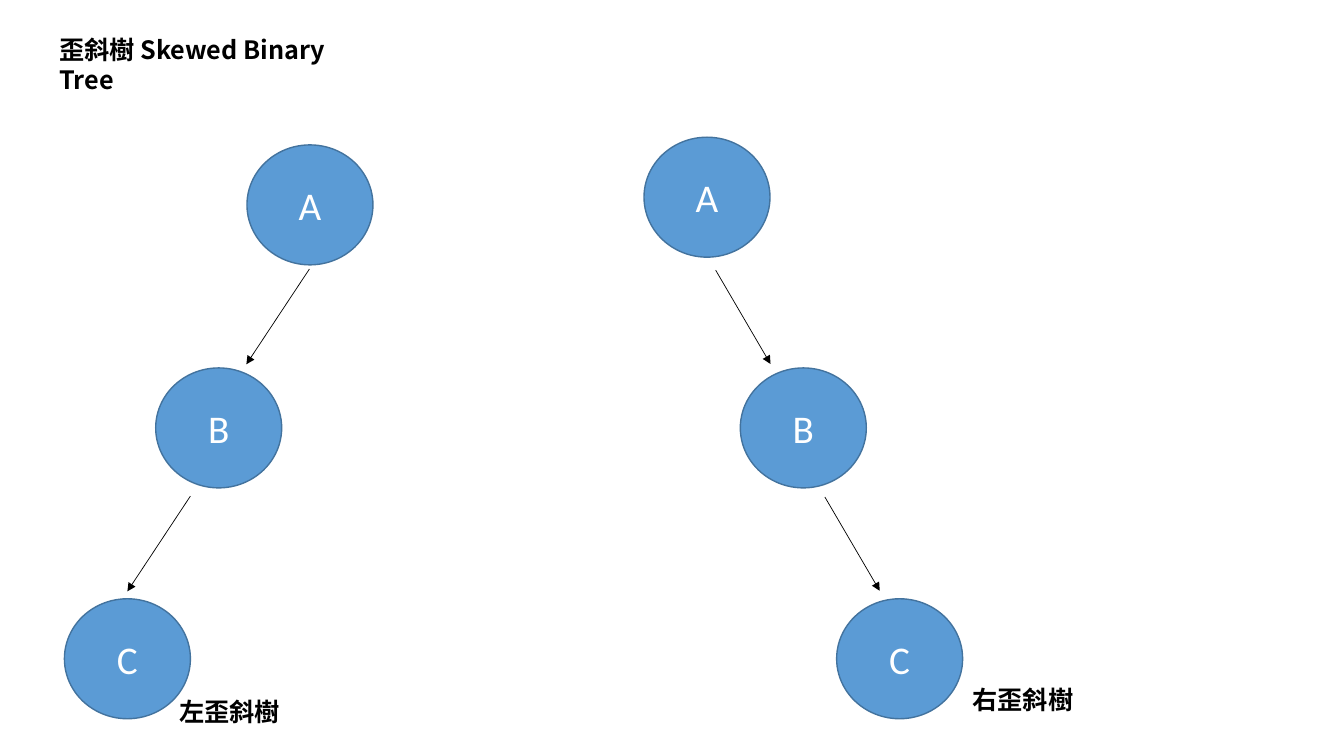
from pptx import Presentation
from pptx.dml.color import RGBColor
from pptx.enum.shapes import MSO_CONNECTOR, MSO_SHAPE
from pptx.enum.text import MSO_ANCHOR as Anchor, MSO_AUTO_SIZE as AutoSize, PP_ALIGN as Align
from pptx.oxml.ns import qn
from pptx.util import Pt
from lxml.etree import SubElement

CJK_FONT = "Noto Sans CJK SC"
NODE_WIDTH, NODE_HEIGHT = 90, 85.7


def color(value):
    """Turn a hex string into a colour."""
    return RGBColor.from_string(value)


def add_run(paragraph, text, size, font, ink, bold=False):
    """Append one formatted run with matching Latin and East Asian fonts."""
    run = paragraph.add_run()
    run.text = text
    run.font.size = Pt(size)
    run.font.name = font
    run.font.bold = bold
    run.font.color.rgb = color(ink)
    SubElement(run.font._element, qn("a:ea"), typeface=font)


def write_heading(frame, text):
    """Write bold black text from the top left of a frame."""
    frame.word_wrap = True
    frame.auto_size = AutoSize.NONE
    frame.vertical_anchor = Anchor.TOP
    frame.paragraphs[0].alignment = Align.LEFT
    add_run(frame.paragraphs[0], text, 18, CJK_FONT, "000000", bold=True)


def set_title(slide, text, left, top, width, height):
    """Place and fill the title placeholder."""
    title = slide.shapes.title
    title.left, title.top = Pt(left), Pt(top)
    title.width, title.height = Pt(width), Pt(height)
    write_heading(title.text_frame, text)


def add_caption(slide, text, left, top):
    """Add the name of one tree."""
    caption = slide.shapes.add_textbox(Pt(left), Pt(top), Pt(87.2), Pt(29))
    write_heading(caption.text_frame, text)


def add_node(slide, letter, left, top):
    """Add one round tree node."""
    node = slide.shapes.add_shape(
        MSO_SHAPE.OVAL, Pt(left), Pt(top), Pt(NODE_WIDTH), Pt(NODE_HEIGHT))
    node.shadow.inherit = False
    node.fill.solid()
    node.fill.fore_color.rgb = color("5B9BD5")
    node.line.color.rgb = color("43739E")
    node.line.width = Pt(1)
    node.text_frame.vertical_anchor = Anchor.MIDDLE
    paragraph = node.text_frame.paragraphs[0]
    paragraph.alignment = Align.CENTER
    add_run(paragraph, letter, 28, "Calibri", "FFFFFF")


def add_branch(slide, start, reach):
    """Add an arrow from a start point along a reach."""
    (x, y), (across, down) = start, reach
    branch = slide.shapes.add_connector(
        MSO_CONNECTOR.STRAIGHT, Pt(x), Pt(y), Pt(x + across), Pt(y + down))
    branch.line.color.rgb = color("000000")
    branch.line.width = Pt(0.5)
    SubElement(branch.line._get_or_add_ln(), qn("a:tailEnd"), type="triangle")
    SubElement(branch._element.spPr, qn("a:effectLst"))


def add_tree(slide, root, lean, branch_starts, reach):
    """Add a three-node tree leaning sideways by a fixed step."""
    root_left, root_top = root
    for level, (letter, top) in enumerate(zip("ABC", (root_top, 262.8, 427.7))):
        add_node(slide, letter, root_left + level * lean, top)
    for start in branch_starts:
        add_branch(slide, start, reach)


def main():
    """Build the skewed binary tree slide."""
    deck = Presentation()
    deck.slide_width, deck.slide_height = Pt(960), Pt(540)
    slide = deck.slides.add_slide(deck.slide_layouts[5])
    set_title(slide, "歪斜樹 Skewed Binary Tree", 35.2, 21, 242.6, 29)
    add_tree(slide, (176.4, 103.5), -65.2, [(221, 192.2), (136, 354.4)], (-45, 68))
    add_caption(slide, "左歪斜樹", 121, 494)
    add_tree(slide, (460, 98), 68.8, [(511.2, 193), (589.2, 355)], (39.2, 67))
    add_caption(slide, "右歪斜樹", 687.6, 485.3)
    deck.save("out.pptx")


main()
